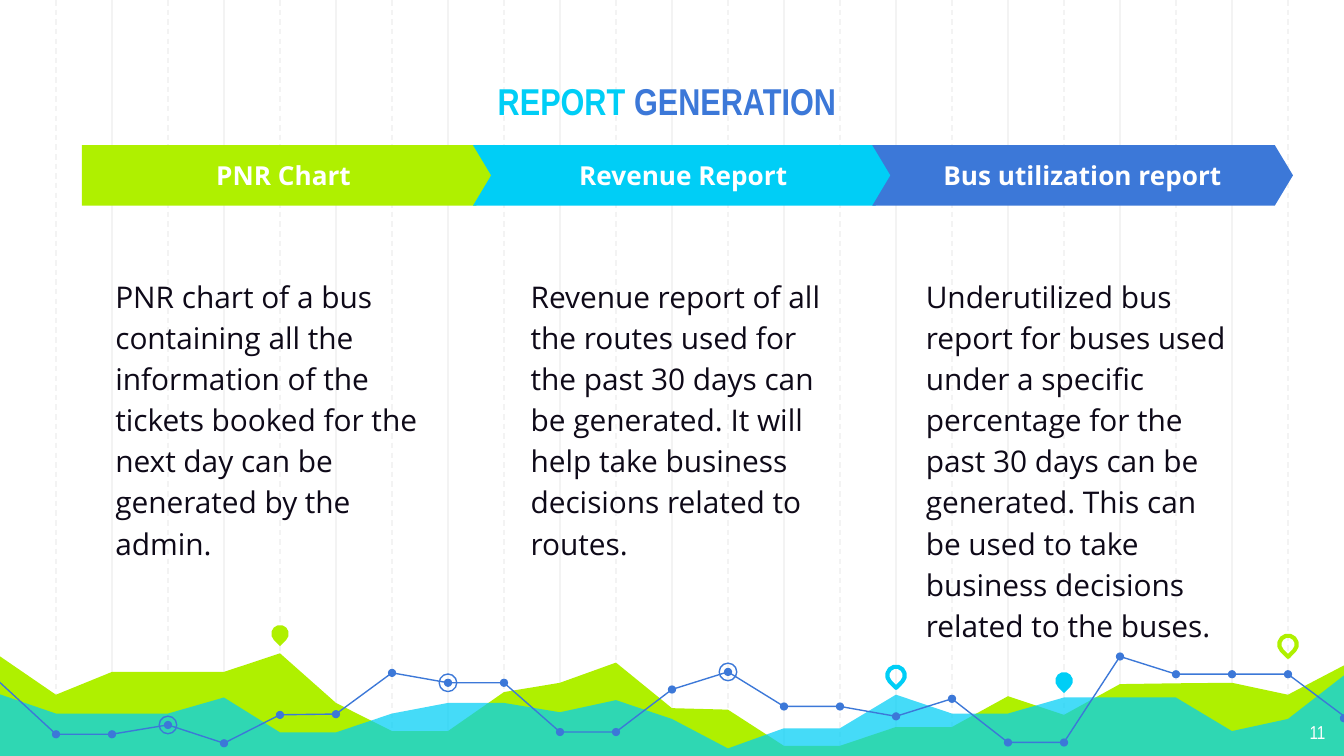
from dataclasses import dataclass

from lxml import etree
from pptx import Presentation
from pptx.dml.color import RGBColor
from pptx.enum.dml import MSO_LINE
from pptx.enum.shapes import MSO_CONNECTOR, MSO_SHAPE
from pptx.enum.text import MSO_ANCHOR, PP_ALIGN
from pptx.oxml.ns import qn
from pptx.util import Pt

DASH = MSO_LINE.DASH
LINE = MSO_CONNECTOR.STRAIGHT
OVAL, DROP = MSO_SHAPE.OVAL, MSO_SHAPE.TEAR
PLATE, ARROW = MSO_SHAPE.PENTAGON, MSO_SHAPE.CHEVRON
TOP, MID, LOW = MSO_ANCHOR.TOP, MSO_ANCHOR.MIDDLE, MSO_ANCHOR.BOTTOM
LEFT, MIDST, RIGHT = PP_ALIGN.LEFT, PP_ALIGN.CENTER, PP_ALIGN.RIGHT


@dataclass(frozen=True)
class Theme:
    lime: str = "AFF000"
    cyan: str = "00CEF6"
    blue: str = "3C78D8"
    grid: str = "F3F3F3"
    white: str = "FFFFFF"
    ink: str = "0E0918"
    head: str = "Arial Narrow"
    body: str = "Open Sans"
    title: int = 20
    text: int = 16
    label: int = 14
    small: int = 10


def write(frame, text, size, color, font, bold=False, align=LEFT, space=None):
    """Add a run to the first paragraph of the frame."""
    para = frame.paragraphs[0]
    para.alignment = align
    if space:
        para.line_spacing = space
    run = para.add_run()
    run.text = text
    run.font.name, run.font.size, run.font.bold = font, Pt(size), bold
    run.font.color.rgb = RGBColor.from_string(color)


class Deck:
    def __init__(self, theme, wide, high):
        self.theme = theme
        self.file = Presentation()
        self.file.slide_width, self.file.slide_height = Pt(wide), Pt(high)
        self.slide = self.file.slides.add_slide(self.file.slide_layouts[6])
        self.shapes = self.slide.shapes

    def paint(self, shape, fill=None, line=None, width=0.75, alpha=None):
        shape.shadow.inherit = False
        if fill:
            shape.fill.solid()
            shape.fill.fore_color.rgb = RGBColor.from_string(fill)
        else:
            shape.fill.background()
        if alpha:
            tint = shape.fill._xPr.find(".//" + qn("a:srgbClr"))
            etree.SubElement(tint, qn("a:alpha"), val=str(alpha * 1000))
        if line:
            shape.line.color.rgb = RGBColor.from_string(line)
            shape.line.width = Pt(width)
        else:
            shape.line.fill.background()
        return shape

    def rule(self, x, high, dash=None):
        line = self.shapes.add_connector(LINE, Pt(x), 0, Pt(x), Pt(high))
        line.line.color.rgb = RGBColor.from_string(self.theme.grid)
        line.line.width = Pt(0.75)
        if dash:
            line.line.dash_style = dash
        etree.SubElement(line._element.spPr, qn("a:effectLst"))

    def path_of(self, dots, close=False, **look):
        first, *rest = [(Pt(x), Pt(y)) for x, y in dots]
        pen = self.shapes.build_freeform(*first, scale=1.0)
        pen.add_line_segments(rest, close=close)
        return self.paint(pen.convert_to_shape(), **look)

    def shape(self, kind, x, y, wide, high, **look):
        box = self.shapes.add_shape(kind, Pt(x), Pt(y), Pt(wide), Pt(high))
        return self.paint(box, **look)

    def spot(self, kind, x, y, size, **look):
        return self.shape(kind, x - size / 2, y - size / 2, size, size, **look)

    def frame(self, shape, anchor):
        text = shape.text_frame
        text.word_wrap, text.vertical_anchor = True, anchor
        text.margin_left = text.margin_right = Pt(7.2)
        text.margin_top = text.margin_bottom = Pt(7.2)
        return text

    def box(self, x, y, wide, high, anchor=TOP):
        box = self.shapes.add_textbox(Pt(x), Pt(y), Pt(wide), Pt(high))
        return self.frame(box, anchor)


STEP, COLS, BASE = 30, 24, 406.5
theme = Theme()
deck = Deck(theme, 720, 405)

# Grid: solid lines on even columns, dashed on odd ones
for first, dash in ((2, None), (1, DASH)):
    for col in range(first, COLS, 2):
        deck.rule(col * STEP, BASE, dash)

# Heights of each series, one for every grid column
lime = [350.6, 372.2, 360, 360, 360, 350, 376.6, 391.7, 391.7, 370.8, 365.8,
        355, 379.4, 380.2, 399.6, 399.6, 389.5, 389.5, 373, 383, 366.5,
        366.1, 365.8, 372.2, 355.7]
cyan = [371.5, 382.3, 382.3, 382.3, 373.7, 392.4, 392.4, 382.3, 376.6, 376.6,
        381.6, 375.1, 385.2, 401, 390.2, 390.2, 372.2, 382.3, 382.3, 373.7,
        373.7, 373.7, 391.7, 385.2, 360.7]
trend = [364.3, 393.4, 393.4, 388.4, 398.2, 383, 382.6, 360.5, 365.8, 365.8,
         392.2, 392.2, 369.4, 360, 378.5, 378.5, 383.8, 374.4, 397.8, 397.8,
         351.7, 361.2, 361.2, 361.2, 384.8]


def spread(rows):
    dots = [(col * STEP, y) for col, y in enumerate(rows)]
    dots[0], dots[-1] = (-1.5, rows[0]), (721.5, rows[-1])
    return dots


# Areas
for rows, fill, alpha in ((lime, theme.lime, None), (cyan, theme.cyan, 73)):
    area = spread(rows) + [(721.5, BASE), (-2, BASE)]
    deck.path_of(area, close=True, fill=fill, alpha=alpha)

# Trend line with dots and rings
deck.path_of(spread(trend), line=theme.blue)
for col in range(1, COLS + 1):
    deck.spot(OVAL, col * STEP, trend[col], 4.4, fill=theme.blue)
for col in (3, 8, 13):
    deck.spot(OVAL, col * STEP, trend[col], 9.4, line=theme.blue)

# Pins
pins = [(5, 339.5, {"fill": theme.lime}),
        (16, 361.8, {"line": theme.cyan, "width": 2.25}),
        (19, 364.7, {"fill": theme.cyan}),
        (23, 345.2, {"line": theme.lime, "width": 2.25})]
for col, y, look in pins:
    deck.spot(DROP, col * STEP, y, 9.4, **look).rotation = 135

# Title
title = deck.box(84.2, 16.6, 550.8, 56.2, LOW)
for text, color in (("REPORT ", theme.cyan), ("GENERATION ", theme.blue)):
    write(title, text, theme.title, color, theme.head, bold=True, align=MIDST)

# Banner steps with the text below each
steps = [
    (PLATE, 43.9, 221, theme.lime, "PNR Chart", 54.7,
     "PNR chart of a bus containing all the information of the tickets "
     "booked for the next day can be generated by the admin."),
    (ARROW, 253.4, 225.4, theme.cyan, "Revenue Report", 277.2,
     "Revenue report of all the routes used for the past 30 days can be "
     "generated. It will help take business decisions related to routes."),
    (ARROW, 467.3, 225.4, theme.blue, "Bus utilization report", 488.9,
     "Underutilized bus report for buses used under a specific percentage "
     "for the past 30 days can be generated. This can be used to take "
     "business decisions related to the buses."),
]
for kind, x, wide, fill, label, left, text in steps:
    step = deck.shape(kind, x, 77.7, wide, 32.5, fill=fill)
    step.adjustments[0] = 0.3
    write(deck.frame(step, MID), label, theme.label, theme.white, theme.body,
          bold=True, align=MIDST)
    write(deck.box(left, 139, 176.4, 141.8), text, theme.text, theme.ink,
          theme.body, space=1.15)

# Page number
write(deck.box(673.9, 380.2, 43.2, 25.2), "11", theme.small, theme.white,
      theme.head, align=RIGHT)

deck.file.save("out.pptx")
